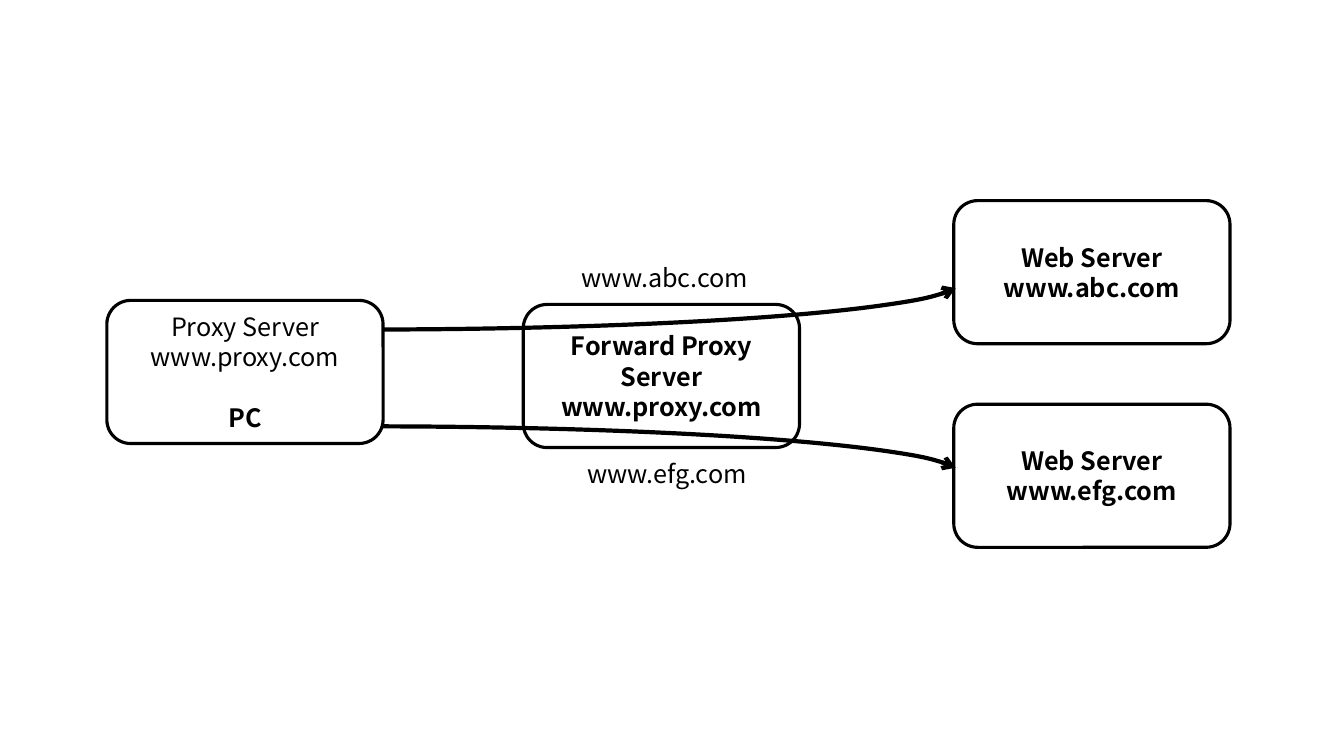
from dataclasses import dataclass

import lxml.etree
import pptx
import pptx.dml.color
import pptx.enum.shapes
import pptx.enum.text
import pptx.oxml.ns
import pptx.shapes.autoshape
import pptx.slide
import pptx.text.text
import pptx.util

Inches = pptx.util.Inches
Pt = pptx.util.Pt
SHAPE = pptx.enum.shapes.MSO_SHAPE
COLORS = {"ink": "000000", "paper": "FFFFFF"}
FONT = {"name": "Noto Sans CJK KR", "size": Pt(18)}
NODE_W, NODE_H = 2.74, 1.42
LABEL_W, LABEL_H = 2.57, 0.4
ARC_W, ARC_H = 11.79, 0.96
ARC_ANGLES = (172.04, 215.592)


@dataclass(frozen=True)
class Line:
    text: str
    bold: bool = False
    gap: float = 0


@dataclass(frozen=True)
class Block:
    left: float
    top: float
    lines: tuple[Line, ...]


@dataclass(frozen=True)
class Route:
    arc_top: float
    rising: bool
    label: Block


NODES = (
    Block(1.06, 2.98, (Line("Proxy Server"), Line("www.proxy.com"), Line("PC", True, 21.6))),
    Block(5.19, 3.02, (Line("Forward Proxy Server", True), Line("www.proxy.com", True))),
    Block(9.46, 1.99, (Line("Web Server", True), Line("www.abc.com", True))),
    Block(9.46, 4.01, (Line("Web Server", True), Line("www.efg.com", True))),
)
ROUTES = (
    Route(4.23, False, Block(5.33, 4.5, (Line("www.efg.com"),))),
    Route(2.31, True, Block(5.31, 2.55, (Line("www.abc.com"),))),
)


def rgb(key: str) -> pptx.dml.color.RGBColor:
    return pptx.dml.color.RGBColor.from_string(COLORS[key])


def write_lines(tf: pptx.text.text.TextFrame, lines: tuple[Line, ...]) -> None:
    tf.word_wrap = True
    for i, line in enumerate(lines):
        p = tf.add_paragraph() if i else tf.paragraphs[0]
        p.alignment = pptx.enum.text.PP_ALIGN.CENTER
        if line.gap:
            p.space_before = Pt(line.gap)
        r = p.add_run()
        r.text = line.text
        for name, value in {**FONT, "bold": line.bold}.items():
            setattr(r.font, name, value)
        r.font.color.rgb = rgb("ink")


def outline(s: pptx.shapes.autoshape.Shape, width: float) -> None:
    s.shadow.inherit = False
    s.line.color.rgb = rgb("ink")
    s.line.width = Pt(width)


def add_node(slide: pptx.slide.Slide, node: Block) -> None:
    s = slide.shapes.add_shape(SHAPE.ROUNDED_RECTANGLE, Inches(node.left), Inches(node.top),
                               Inches(NODE_W), Inches(NODE_H))
    outline(s, 2.25)
    s.fill.solid()
    s.fill.fore_color.rgb = rgb("paper")
    s.text_frame.vertical_anchor = pptx.enum.text.MSO_ANCHOR.MIDDLE
    write_lines(s.text_frame, node.lines)


def add_route(slide: pptx.slide.Slide, route: Route) -> None:
    """Draw the curved arrow from the PC to a web server, and its label."""
    s = slide.shapes.add_shape(SHAPE.ARC, Inches(-2.25), Inches(route.arc_top),
                               Inches(ARC_W), Inches(ARC_H))
    for i, angle in enumerate(ARC_ANGLES):
        s.adjustments[i] = angle
    outline(s, 3)
    s.fill.background()
    ln = s.line._get_or_add_ln()
    lxml.etree.SubElement(ln, pptx.oxml.ns.qn("a:tailEnd"), type="arrow")
    if route.rising:
        s._element.spPr.get_or_add_xfrm().set("flipV", "1")

    label = route.label
    box = slide.shapes.add_textbox(Inches(label.left), Inches(label.top),
                                   Inches(LABEL_W), Inches(LABEL_H))
    write_lines(box.text_frame, label.lines)
    box.text_frame.auto_size = pptx.enum.text.MSO_AUTO_SIZE.SHAPE_TO_FIT_TEXT


def main() -> None:
    prs = pptx.Presentation()
    prs.slide_width, prs.slide_height = Inches(13.33), Inches(7.5)
    slide = prs.slides.add_slide(prs.slide_layouts[6])
    for node in NODES:
        add_node(slide, node)
    for route in ROUTES:
        add_route(slide, route)
    prs.save("out.pptx")


if __name__ == "__main__":
    main()
